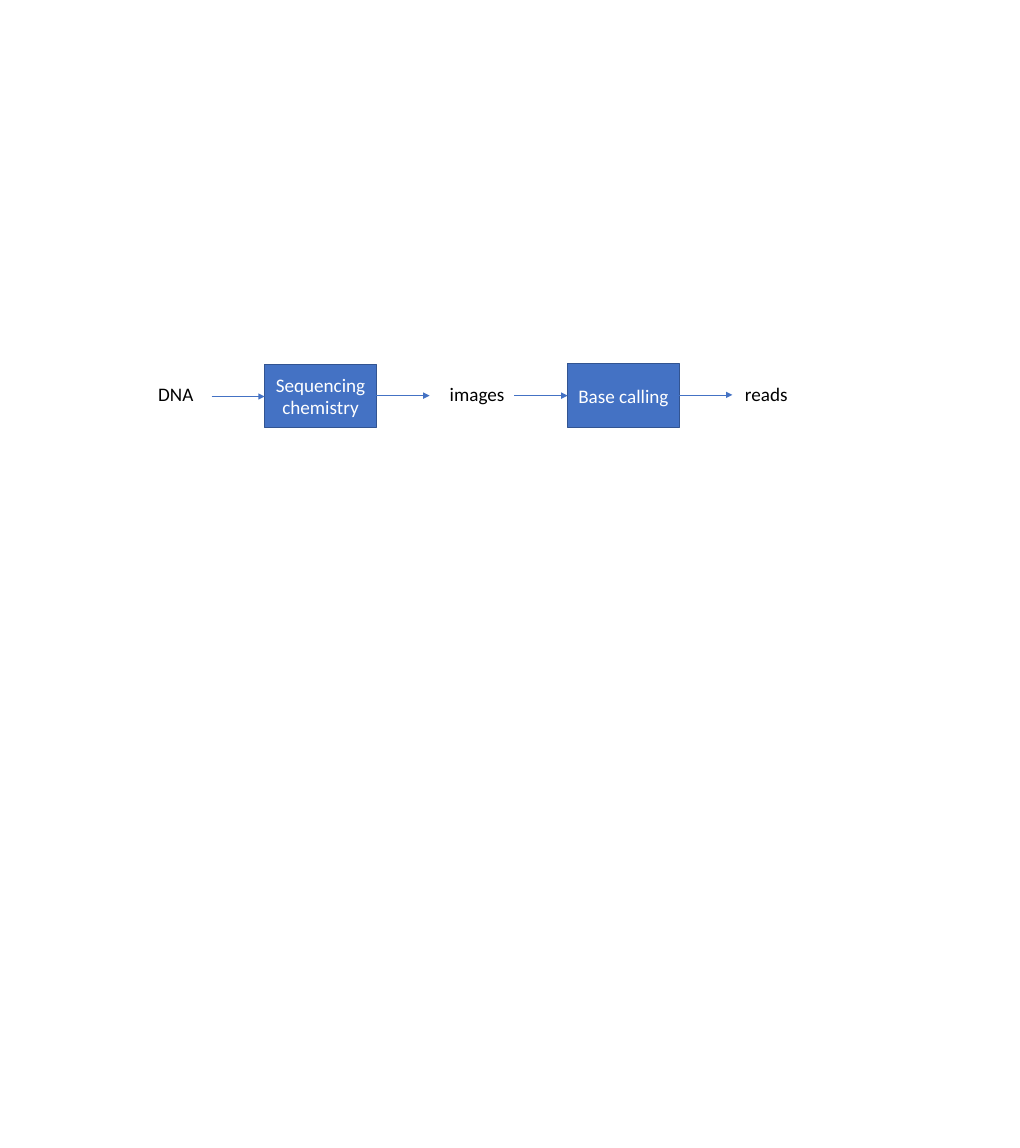
from dataclasses import dataclass

from lxml import etree
from pptx import Presentation
from pptx.dml.color import RGBColor
from pptx.enum.shapes import MSO_CONNECTOR, MSO_SHAPE
from pptx.enum.text import MSO_ANCHOR, MSO_AUTO_SIZE, PP_ALIGN
from pptx.oxml.ns import qn
from pptx.util import Pt

RECT = MSO_SHAPE.RECTANGLE
STRAIGHT = MSO_CONNECTOR.STRAIGHT
MIDDLE = MSO_ANCHOR.MIDDLE
FIT_SHAPE = MSO_AUTO_SIZE.SHAPE_TO_FIT_TEXT
CENTER = PP_ALIGN.CENTER

BLUE, DARK_BLUE, WHITE, BLACK = "4472C4", "325491", "FFFFFF", "000000"
STEP_W, STEP_H = 105.2, 59.8
DATA_TOP, DATA_H = 356.4, 28.8
ARROW_LEN = 50


@dataclass
class Step:
    text: str
    left: float
    top: float


@dataclass
class Data:
    text: str
    left: float
    width: float


@dataclass
class Arrow:
    left: float
    y: float


STEPS = [Step("Sequencing chemistry", 249.1, 342.5), Step("Base calling", 534.2, 342.2)]
DATA = [Data("DNA", 141.8, 61.2), Data("images", 416.2, 75.6), Data("reads", 694.1, 75.6)]
ARROWS = [
    Arrow(STEPS[0].left - ARROW_LEN, 373),
    Arrow(STEPS[0].left + STEP_W, 372.2),
    Arrow(STEPS[1].left - ARROW_LEN, 372.2),
    Arrow(STEPS[1].left + STEP_W, 371.5),
]


def rgb(color: str) -> RGBColor:
    return RGBColor.from_string(color)


def set_text(tf, text: str, color: str):
    tf.word_wrap = True
    p = tf.paragraphs[0]
    p.text = text
    p.font.name = "Calibri"
    p.font.size = Pt(18)
    p.font.color.rgb = rgb(color)
    return p


def draw_step(s, step: Step) -> None:
    sp = s.shapes.add_shape(RECT, Pt(step.left), Pt(step.top), Pt(STEP_W), Pt(STEP_H))
    sp.shadow.inherit = False
    sp.fill.solid()
    sp.fill.fore_color.rgb = rgb(BLUE)
    sp.line.color.rgb = rgb(DARK_BLUE)
    sp.line.width = Pt(1)
    sp.text_frame.vertical_anchor = MIDDLE
    set_text(sp.text_frame, step.text, WHITE).alignment = CENTER


def draw_data(s, data: Data) -> None:
    sp = s.shapes.add_textbox(Pt(data.left), Pt(DATA_TOP), Pt(data.width), Pt(DATA_H))
    set_text(sp.text_frame, data.text, BLACK)
    sp.text_frame.auto_size = FIT_SHAPE


def draw_arrow(s, arrow: Arrow) -> None:
    y = Pt(arrow.y)
    cxn = s.shapes.add_connector(STRAIGHT, Pt(arrow.left), y, Pt(arrow.left + ARROW_LEN), y)
    cxn.line.color.rgb = rgb(BLUE)
    cxn.line.width = Pt(0.5)
    sp_pr = cxn.element.spPr
    etree.SubElement(sp_pr.find(qn("a:ln")), qn("a:tailEnd"), type="triangle")
    etree.SubElement(sp_pr, qn("a:effectLst"))


def main() -> None:
    prs = Presentation()
    prs.slide_width, prs.slide_height = Pt(960), Pt(1080)
    s = prs.slides.add_slide(prs.slide_layouts[6])
    for step in STEPS:
        draw_step(s, step)
    for arrow in ARROWS:
        draw_arrow(s, arrow)
    for data in DATA:
        draw_data(s, data)
    prs.save("out.pptx")


if __name__ == "__main__":
    main()
